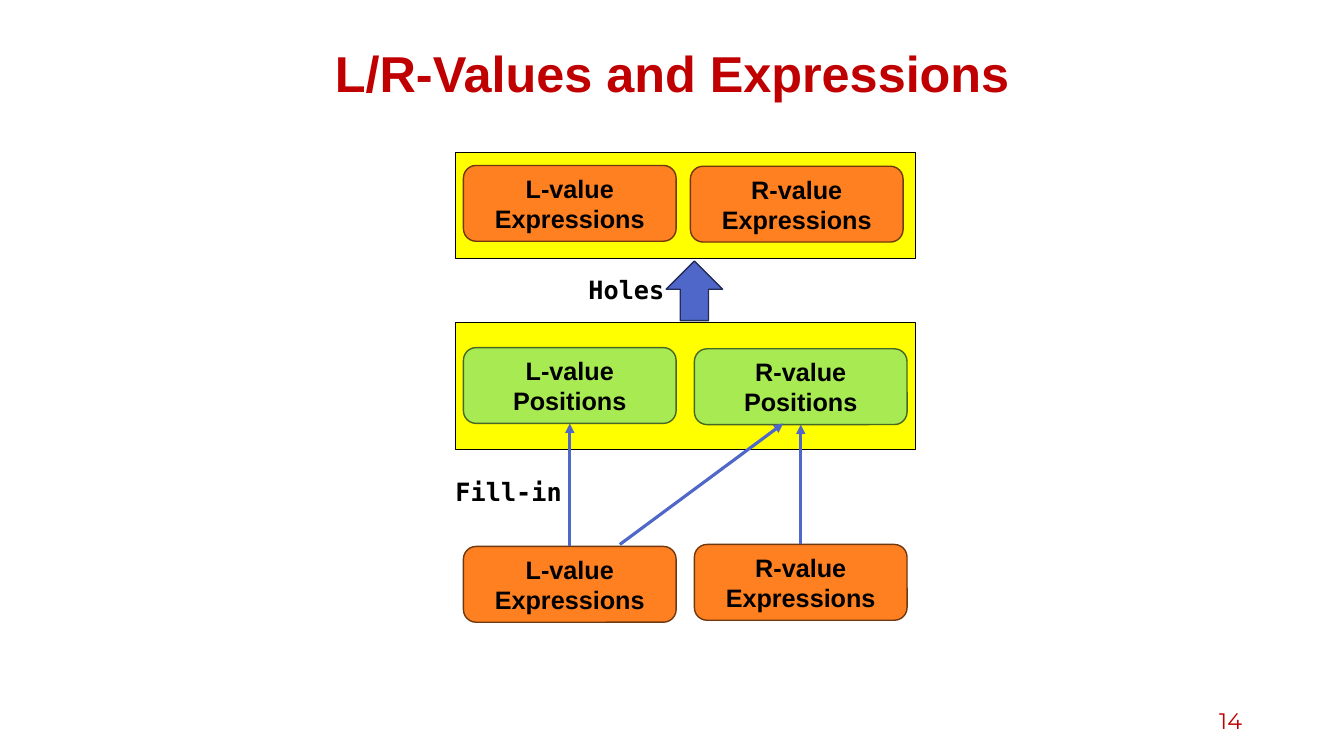
from lxml import etree
from pptx import Presentation
from pptx.dml.color import RGBColor
from pptx.enum.shapes import MSO_CONNECTOR, MSO_SHAPE
from pptx.enum.text import MSO_ANCHOR, PP_ALIGN
from pptx.oxml.ns import qn
from pptx.util import Cm, Pt

RECTANGLE, ROUNDED = MSO_SHAPE.RECTANGLE, MSO_SHAPE.ROUNDED_RECTANGLE
UP_ARROW, STRAIGHT = MSO_SHAPE.UP_ARROW, MSO_CONNECTOR.STRAIGHT
TOP, MIDDLE = MSO_ANCHOR.TOP, MSO_ANCHOR.MIDDLE
LEFT, CENTER, RIGHT = PP_ALIGN.LEFT, PP_ALIGN.CENTER, PP_ALIGN.RIGHT
TOP_SIDE, BOTTOM_SIDE = 0, 2

RED = RGBColor(0xC0, 0x00, 0x00)
BLACK = RGBColor(0x00, 0x00, 0x00)
YELLOW = RGBColor(0xFF, 0xFF, 0x00)
ORANGE = RGBColor(0xFF, 0x80, 0x21)
BROWN = RGBColor(0x70, 0x38, 0x0E)
GREEN = RGBColor(0xA7, 0xEA, 0x52)
DARK_GREEN = RGBColor(0x49, 0x67, 0x24)
BLUE = RGBColor(0x4E, 0x67, 0xC8)
NAVY = RGBColor(0x22, 0x2D, 0x58)

TITLE = "L/R-Values and Expressions"
PANELS = [(11.48, 8.13, 11.6, 3.2), (11.48, 3.84, 11.6, 2.67)]
BOX_SIZE = (5.36, 1.91)
BOXES = [
    ("L-value Expressions", 11.68, 4.17, ORANGE, BROWN),
    ("R-value Expressions", 17.4, 4.19, ORANGE, BROWN),
    ("L-value Positions", 11.68, 8.76, GREEN, DARK_GREEN),
    ("R-value Positions", 17.5, 8.79, GREEN, DARK_GREEN),
    ("L-value Expressions", 11.68, 13.77, ORANGE, BROWN),
    ("R-value Expressions", 17.5, 13.72, ORANGE, BROWN),
]
HOLES_ARROW = (16.79, 6.58, 1.42, 1.5)
CROSS_FILL = (15.62, 13.72, 19.74, 10.67)
STEP_LABELS = [
    ("Fill-in", (11.23, 11.89, 3.58, 1.02)),
    ("Holes", (14.58, 6.78, 3.15, 1.02)),
]
PAGE_NUMBER = ("14", (23.93, 17.65, 7.62, 1.02))


def lengths(values):
    return [Cm(value) for value in values]


def write(target, text, size, font, color, bold, align, anchor):
    frame = target.text_frame
    frame.text = text
    frame.word_wrap = True
    frame.vertical_anchor = anchor
    paragraph = frame.paragraphs[0]
    paragraph.alignment = align
    paragraph.font.size = Pt(size)
    paragraph.font.name = font
    paragraph.font.bold = bold
    paragraph.font.color.rgb = color
    return paragraph


def add_block(slide, kind, place, fill, outline):
    block = slide.shapes.add_shape(kind, *lengths(place))
    block.shadow.inherit = False
    block.fill.solid()
    block.fill.fore_color.rgb = fill
    block.line.color.rgb = outline
    block.line.width = Pt(1)
    return block


def add_fill_arrow(slide, ends):
    arrow = slide.shapes.add_connector(STRAIGHT, *lengths(ends))
    arrow.line.color.rgb = BLUE
    arrow.line.width = Pt(2.25)
    etree.SubElement(arrow.line._get_or_add_ln(), qn("a:tailEnd"), type="triangle")
    etree.SubElement(arrow._element.spPr, qn("a:effectLst"))
    return arrow


def main():
    """Build the slide on L/R-values and expressions."""
    deck = Presentation()
    deck.slide_width, deck.slide_height = Cm(33.87), Cm(19.05)
    slide = deck.slides.add_slide(deck.slide_layouts[5])

    title = slide.shapes.title
    title.left, title.top, title.width, title.height = lengths((2.34, 1.02, 29.21, 1.78))
    heading = write(title, TITLE, 36, "Arial", RED, True, CENTER, MIDDLE)
    heading.line_spacing = 0.9

    for panel in PANELS:
        add_block(slide, RECTANGLE, panel, YELLOW, BLACK)

    boxes = []
    for text, left, top, fill, outline in BOXES:
        box = add_block(slide, ROUNDED, (left, top, *BOX_SIZE), fill, outline)
        write(box, text, 18, "Arial", BLACK, True, CENTER, MIDDLE)
        boxes.append(box)

    for position, expression in zip(boxes[2:4], boxes[4:]):
        arrow = add_fill_arrow(slide, (0, 0, 0, 0))
        arrow.begin_connect(expression, TOP_SIDE)
        arrow.end_connect(position, BOTTOM_SIDE)
    add_fill_arrow(slide, CROSS_FILL)
    add_block(slide, UP_ARROW, HOLES_ARROW, BLUE, NAVY)

    for text, place in STEP_LABELS:
        label = slide.shapes.add_textbox(*lengths(place))
        write(label, text, 18, "DejaVu Sans Mono", BLACK, True, LEFT, TOP)

    number, place = PAGE_NUMBER
    page = slide.shapes.add_textbox(*lengths(place))
    write(page, number, 16, "Montserrat", RED, False, RIGHT, MIDDLE)

    deck.save("out.pptx")


if __name__ == "__main__":
    main()
